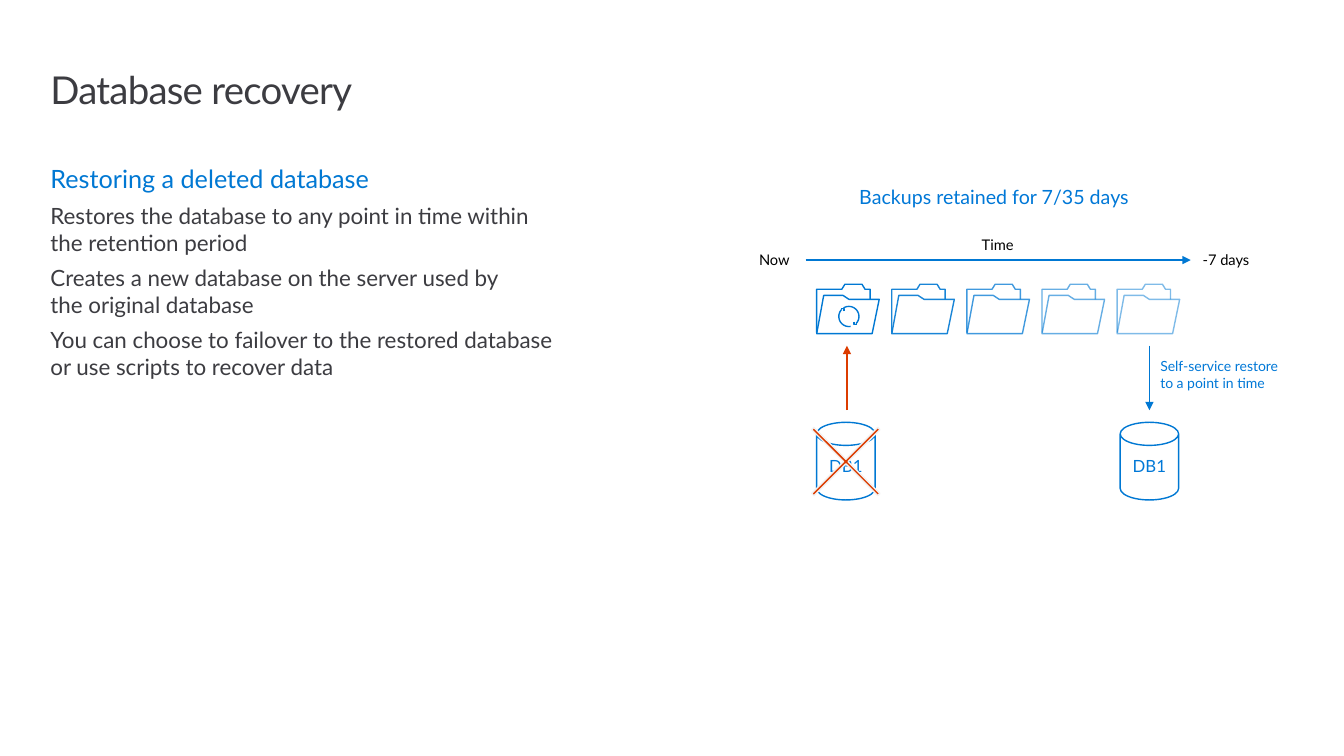
"""Build the slide that explains how a deleted database is restored."""
from copy import deepcopy
from dataclasses import dataclass
from math import cos, radians, sin

from lxml.etree import SubElement
from pptx import Presentation
from pptx.dml.color import RGBColor
from pptx.enum.shapes import MSO_CONNECTOR, MSO_SHAPE
from pptx.enum.text import MSO_ANCHOR, MSO_AUTO_SIZE, PP_ALIGN
from pptx.oxml.ns import qn
from pptx.util import Inches, Pt


@dataclass(frozen=True)
class Theme:
    font: str = "Lato"
    blue: str = "0078D3"
    label_blue: str = "0078D7"
    dark: str = "3C3C41"
    black: str = "000000"
    red: str = "DC3C00"
    pale: str = "F2F2F2"
    title: float = 27.4
    heading: float = 18
    body: float = 16
    caption: float = 14
    database: float = 12
    axis: float = 10.5
    note: float = 10


theme = Theme()


def write(frame, text, *, size, color, align=PP_ALIGN.LEFT, level=0, after=0,
          spacing=1.0, tracking=None, wrap=True, anchor=MSO_ANCHOR.TOP, insets=None):
    frame.word_wrap = wrap
    frame.auto_size = MSO_AUTO_SIZE.NONE
    frame.vertical_anchor = anchor
    if insets:
        (frame.margin_left, frame.margin_top,
         frame.margin_right, frame.margin_bottom) = map(Inches, insets)
    paragraph = frame.add_paragraph() if frame.text else frame.paragraphs[0]
    paragraph.text = text
    properties = paragraph._p.get_or_add_pPr()
    properties.set("marL", "0")
    properties.set("indent", "0")
    SubElement(properties, qn("a:buNone"))
    paragraph.level = level
    paragraph.alignment = align
    paragraph.line_spacing = spacing
    paragraph.space_before = Pt(0)
    paragraph.space_after = Pt(after)
    for run in paragraph.runs:
        run.font.name = theme.font
        run.font.size = Pt(size)
        run.font.color.rgb = RGBColor.from_string(color)
        if tracking:
            run.font._element.set("spc", str(tracking))
    for line_break in paragraph._p.findall(qn("a:br")):
        line_break.append(deepcopy(paragraph.runs[0].font._element))


def outline(shapes, points, close=False, opacity=100):
    corners = [(Inches(x), Inches(y)) for x, y in points]
    builder = shapes.build_freeform(*corners[0])
    builder.add_line_segments(corners[1:], close=close)
    drawing = builder.convert_to_shape()
    drawing.shadow.inherit = False
    drawing.fill.background()
    drawing.line.color.rgb = RGBColor.from_string(theme.blue)
    drawing.line.width = Pt(1)
    if opacity < 100:
        stroke = drawing.element.xpath(".//a:ln//a:srgbClr")[0]
        SubElement(stroke, qn("a:alpha"), val=str(opacity * 1000))


presentation = Presentation()
presentation.slide_width = Inches(13.33)
presentation.slide_height = Inches(7.5)
slide = presentation.slides.add_slide(presentation.slide_layouts[1])
shapes = slide.shapes

title, details = shapes.title, slide.placeholders[1]
for placeholder, bounds in ((title, (0.5, 0.61, 12.36, 0.89)),
                            (details, (0.5, 1.52, 5.28, 2.37))):
    (placeholder.left, placeholder.top,
     placeholder.width, placeholder.height) = map(Inches, bounds)

placeholder_insets = (0, 0.1, 0.16, 0.1)
write(title.text_frame, "Database recovery", size=theme.title, color=theme.dark,
      spacing=0.9, tracking=-50, insets=placeholder_insets)
write(details.text_frame, "Restoring a deleted database", size=theme.heading,
      color=theme.blue, after=6, insets=placeholder_insets)
for point in ("Restores the database to any point in time within the retention period",
              "Creates a new database on the server used by\vthe original database",
              "You can choose to failover to the restored database\vor use scripts to recover data"):
    write(details.text_frame, point, size=theme.body, color=theme.dark, level=1, after=6)

axis_format = dict(size=theme.axis, color=theme.black, align=PP_ALIGN.CENTER, wrap=False)
for text, bounds, text_format in (
    ("Self-service restore to a point in time", (11.41, 3.5, 1.4, 0.44),
     dict(size=theme.note, color=theme.label_blue)),
    ("Backups retained for 7/35 days", (7.57, 1.79, 4.58, 0.34),
     dict(size=theme.caption, color=theme.label_blue, align=PP_ALIGN.CENTER)),
    ("Now", (7.4, 2.44, 0.56, 0.29), axis_format),
    ("-7 days", (11.81, 2.44, 0.7, 0.29), axis_format),
    ("Time", (9.63, 2.29, 0.53, 0.29), axis_format),
):
    write(shapes.add_textbox(*map(Inches, bounds)).text_frame, text, **text_format)

folder_left, folder_top, folder_pitch = 8.1, 2.82, 0.745
folder_front = [(0, 0.49), (0.07, 0.11), (0.26, 0.11), (0.32, 0.15), (0.62, 0.15), (0.55, 0.49)]
folder_back = [(0, 0.48), (0, 0.05), (0.25, 0.05), (0.28, 0),
               (0.45, 0), (0.48, 0.05), (0.53, 0.05), (0.53, 0.15)]
for index, opacity in enumerate((100, 90, 75, 60, 50)):
    folder = shapes.add_group_shape().shapes
    for part, close in ((folder_front, True), (folder_back, False)):
        outline(folder, [(folder_left + index * folder_pitch + x, folder_top + y)
                         for x, y in part], close, opacity)

sync_x, sync_y, sync_radius = 8.42, 3.14, 0.1
sync = shapes.add_group_shape().shapes
for start, end in ((80, 225), (238, 405)):
    angles = [radians(start + (end - start) * step / 16) for step in range(17)]
    outline(sync, [(sync_x + sync_radius * cos(angle), sync_y + sync_radius * sin(angle))
                   for angle in angles])
for side in (1, -1):
    outline(sync, [(sync_x + side * x, sync_y + side * y)
                   for x, y in ((0.05, 0.05), (0.05, 0.08), (0.08, 0.08))])

for database_left in (8.1, 11.11):
    database = shapes.add_shape(MSO_SHAPE.CAN, *map(Inches, (database_left, 4.19, 0.58, 0.77)))
    database.adjustments[0] = 0.395
    database.shadow.inherit = False
    database.fill.background()
    database.line.color.rgb = RGBColor.from_string(theme.blue)
    database.line.width = Pt(1)
    write(database.text_frame, "DB1", size=theme.database, color=theme.label_blue,
          align=PP_ALIGN.CENTER, spacing=0.9, anchor=MSO_ANCHOR.MIDDLE,
          insets=(0, 0.16, 0, 0.16))

deletion = shapes.add_shape(MSO_SHAPE.MATH_MULTIPLY, *map(Inches, (7.76, 3.95, 1.26, 1.26)))
deletion.adjustments[0] = 0.025
deletion.shadow.inherit = False
deletion.fill.solid()
deletion.fill.fore_color.rgb = RGBColor.from_string(theme.red)
deletion.line.color.rgb = RGBColor.from_string(theme.pale)
deletion.line.width = Pt(1)

for ends, color in (((7.99, 2.58, 11.81, 2.58), theme.blue),
                    ((8.4, 4.07, 8.4, 3.43), theme.red),
                    ((11.4, 3.43, 11.4, 4.07), theme.blue)):
    arrow = shapes.add_connector(MSO_CONNECTOR.STRAIGHT, *map(Inches, ends))
    arrow.line.color.rgb = RGBColor.from_string(color)
    arrow.line.width = Pt(1)
    SubElement(arrow.element.xpath(".//a:ln")[0], qn("a:tailEnd"), type="triangle")
    SubElement(arrow.element.spPr, qn("a:effectLst"))

presentation.save("out.pptx")
